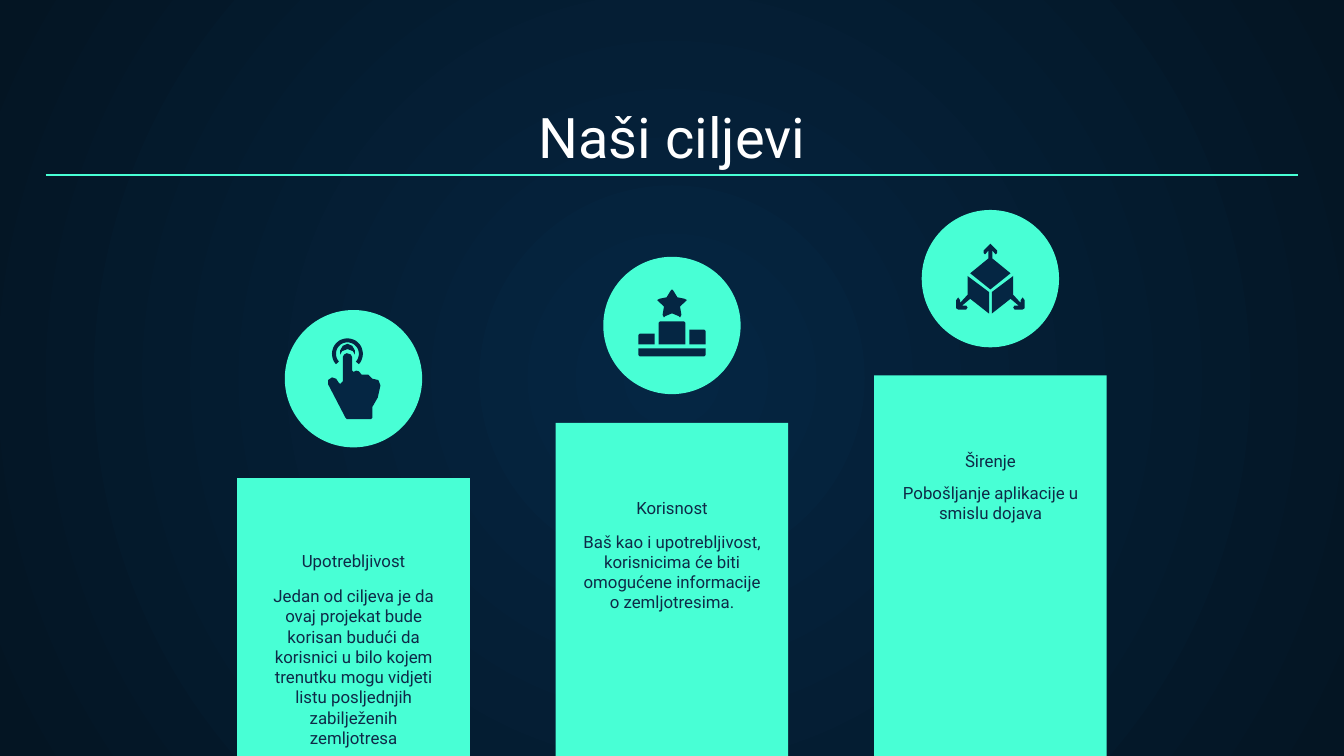
import math
import lxml.etree
import pptx
import pptx.dml.color
import pptx.enum.shapes
import pptx.enum.text
import pptx.oxml.ns
import pptx.util

Pt = pptx.util.Pt
qn = pptx.oxml.ns.qn
KIND = pptx.enum.shapes.MSO_SHAPE
ANCHOR = pptx.enum.text.MSO_ANCHOR
MINT, NAVY, INK, WHITE, EDGE = "48FFD5", "052643", "0E2A47", "FFFFFF", "041523"
WIDE, HIGH = 720, 405
GAP, CARD, DISC, FOOT = 170.6, 124.6, 73.6, 407
UNIT = 0.72


def mirror(half):
    return half + [(-x, y) for x, y in reversed(half)]


def flip(points):
    return [(-x, y) for x, y in points]


def ring(x, y, outer, inner, start, end):
    turns = [math.radians(a) for a in range(start, end + 1, 6)]
    out = [(x + outer * math.cos(t), y + outer * math.sin(t)) for t in turns]
    back = [(x + inner * math.cos(t), y + inner * math.sin(t))
            for t in reversed(turns)]
    return out + back


hand = [(-5, -19), (-7, -18), (-8, -16), (-8, 2), (-10, 4), (-11, 3), (-13, 0),
        (-16, -1), (-19, 1), (-19, 4), (-6, 29), (-5, 30), (13, 30), (14, 29),
        (14, 21), (18, 14), (20, 5), (18.5, 1), (14, 0), (13, -1), (11, -3),
        (6, -3), (4, -5.5), (2, -6), (0, -5), (-1, -6), (-1, -16), (-2, -18)]
halo = [(-10, -18), (-10, -21), (-8, -24.5), (-4.5, -26), (-1, -24.5), (1, -21),
        (1, -18), (-0.5, -20.5), (-4.5, -22), (-8.5, -20.5)]
star = mirror([(0, -27), (-1, -26), (-4, -21), (-9, -20), (-11, -19), (-10, -18),
               (-6, -14), (-7, -8), (-6, -6), (-5, -7), (0, -9)])
steps = [mirror([(-10, 14), (-10, -2), (-9, -3)]),
         [(13, 3), (13, 14), (25, 14), (25, 4), (24, 3)],
         [(-24, 6), (-25, 7), (-25, 14), (-13, 14), (-13, 6)],
         mirror([(-25, 17), (-25, 22), (-24, 23)])]
side = [(17, -2), (1, 10), (1, 26), (15, 15), (21, 20), (18, 20), (17, 21.5),
        (18, 23), (24, 23), (25.5, 22), (25.5, 16), (24, 14), (22.5, 16),
        (22.5, 18), (17, 12)]
roof = mirror([(0, -26), (-1, -25), (-5, -21), (-5, -19), (-4, -18), (-3, -19),
               (-1.5, -21), (-1.5, -15), (-15, -4), (0, 8)])

TITLE = "Naši ciljevi"
GOALS = [
    dict(head="Upotrebljivost", disc=166.1, card=256.1, text=306.7,
         icon=[ring(-4.5, -18.5, 11.5, 8.5, 138, 402), halo, hand],
         body="Jedan od ciljeva je da ovaj projekat bude korisan budući da "
              "korisnici u bilo kojem trenutku mogu vidjeti listu posljednjih "
              "zabilježenih zemljotresa"),
    dict(head="Korisnost", disc=137.6, card=226.6, text=277.5,
         icon=[star] + steps,
         body="Baš kao i upotrebljivost, korisnicima će biti omogućene "
              "informacije o zemljotresima."),
    dict(head="Širenje", disc=112.5, card=201.1, text=251.2,
         icon=[side, flip(side), roof],
         body="Pobošljanje aplikacije u smislu dojava"),
]


def tint(code):
    return pptx.dml.color.RGBColor.from_string(code)


def paint(shape, code):
    shape.shadow.inherit = False
    shape.fill.solid()
    shape.fill.fore_color.rgb = tint(code)
    shape.line.fill.background()


def write(frame, text, size, code, anchor):
    frame.word_wrap = True
    frame.auto_size = pptx.enum.text.MSO_AUTO_SIZE.NONE
    frame.vertical_anchor = anchor
    frame.margin_left = frame.margin_right = Pt(7.2)
    frame.margin_top = frame.margin_bottom = Pt(7.2)
    line = frame.paragraphs[0]
    line.alignment = pptx.enum.text.PP_ALIGN.CENTER
    run = line.add_run()
    run.text = text
    run.font.name = "Roboto"
    run.font.size = Pt(size)
    run.font.color.rgb = tint(code)


def label(mid, top, width, height, text, anchor):
    box = slide.shapes.add_textbox(
        Pt(mid - width / 2), Pt(top), Pt(width), Pt(height))
    write(box.text_frame, text, 9, INK, anchor)


def draw(shapes, points, x, y):
    grid = [(px * 10, py * 10) for px, py in points]
    pen = shapes.build_freeform(*grid[0], scale=Pt(UNIT) / 10)
    pen.add_line_segments(grid[1:], close=True)
    paint(pen.convert_to_shape(Pt(x), Pt(y)), NAVY)


deck = pptx.Presentation()
deck.slide_width, deck.slide_height = Pt(WIDE), Pt(HIGH)
slide = deck.slides.add_slide(deck.slide_layouts[5])

fill = slide.background.fill
fill.gradient()
for stop, code, place in zip(fill.gradient_stops, (NAVY, EDGE), (0, 1)):
    stop.color.rgb = tint(code)
    stop.position = place
grad = slide.element.find(".//" + qn("a:gradFill"))
for old in grad.findall(qn("a:lin")):
    grad.remove(old)
glow = lxml.etree.SubElement(grad, qn("a:path"))
glow.set("path", "circle")
focus = lxml.etree.SubElement(glow, qn("a:fillToRect"))
for edge in "ltrb":
    focus.set(edge, "50000")

title = slide.shapes.title
title.left, title.top = Pt(24.5), Pt(50.4)
title.width, title.height = Pt(671), Pt(47.5)
write(title.text_frame, TITLE, 30, WHITE, ANCHOR.BOTTOM)

for col, goal in enumerate(GOALS):
    mid = WIDE / 2 + (col - 1) * GAP
    card = slide.shapes.add_shape(
        KIND.RECTANGLE, Pt(mid - CARD / 2), Pt(goal["card"]),
        Pt(CARD), Pt(FOOT - goal["card"]))
    paint(card, MINT)
    disc = slide.shapes.add_shape(
        KIND.OVAL, Pt(mid - DISC / 2), Pt(goal["disc"]), Pt(DISC), Pt(DISC))
    paint(disc, MINT)
    label(mid, goal["disc"] + 131.8, 163.4, 15.1, goal["head"], ANCHOR.BOTTOM)
    label(mid, goal["text"], 109.4, 39.6, goal["body"], ANCHOR.TOP)
    group = slide.shapes.add_group_shape()
    for points in goal["icon"]:
        draw(group.shapes, points, mid, goal["disc"] + DISC / 2)

rule = slide.shapes.add_connector(
    pptx.enum.shapes.MSO_CONNECTOR.STRAIGHT,
    Pt(24.5), Pt(93.7), Pt(695.5), Pt(93.7))
rule.line.color.rgb = tint(MINT)
rule.line.width = Pt(0.75)
lxml.etree.SubElement(
    rule.element.find(qn("p:spPr")), qn("a:effectLst"))

deck.save("out.pptx")
